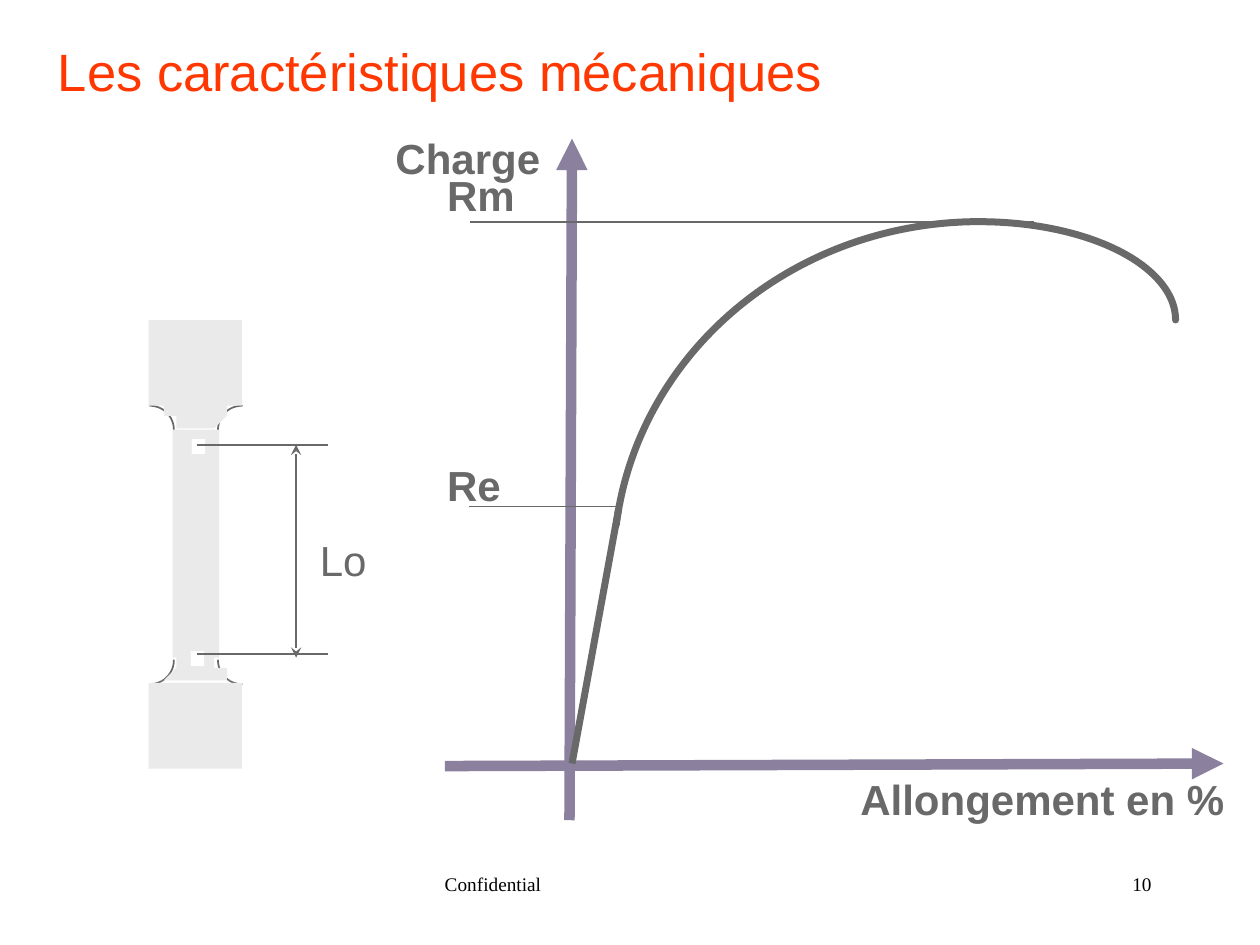
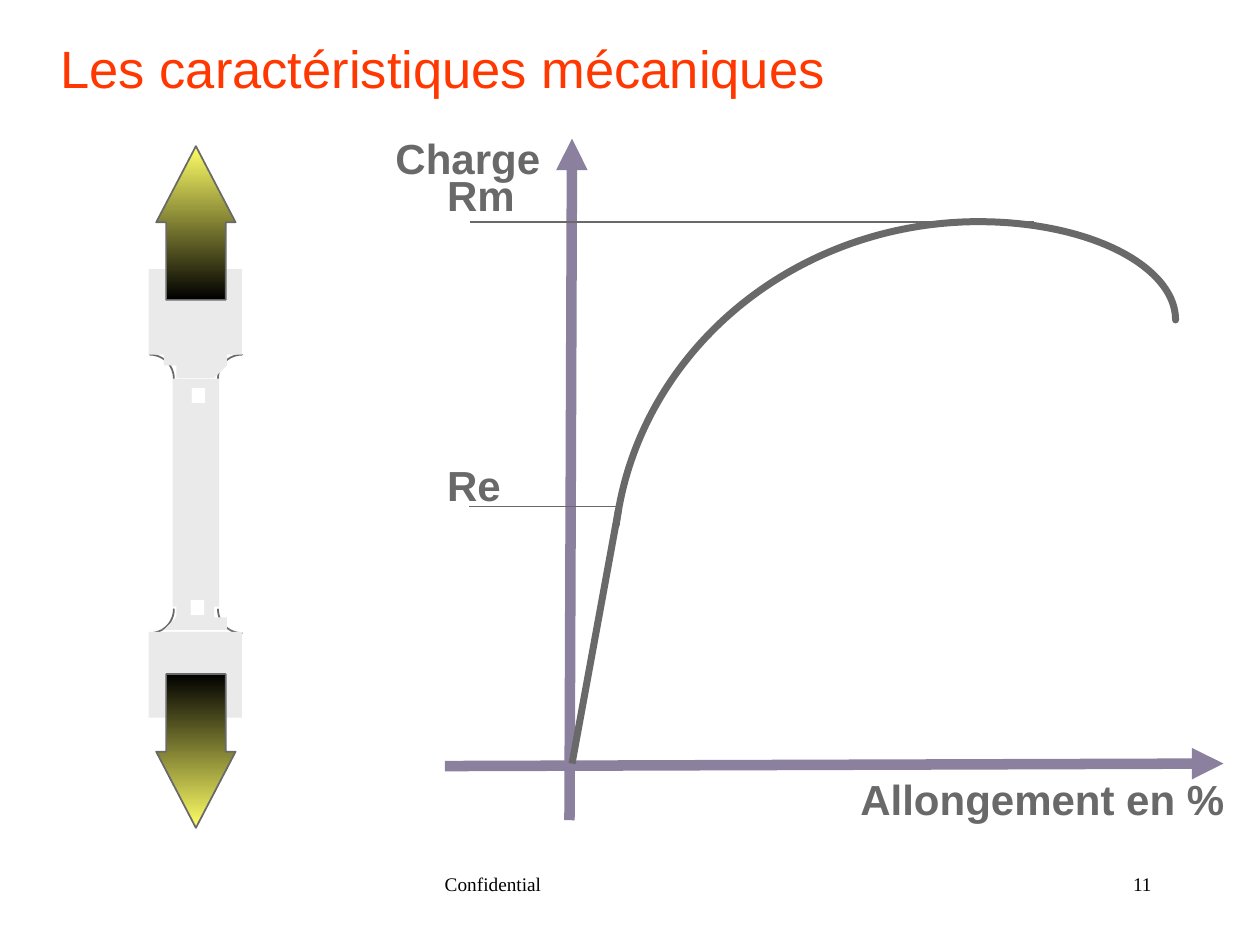
import math
import pptx
import pptx.util
import pptx.dml.color
import pptx.enum.shapes
import pptx.enum.text
import pptx.oxml

Pt = pptx.util.Pt
Kind = pptx.enum.shapes.MSO_SHAPE
Align = pptx.enum.text.PP_ALIGN
Anchor = pptx.enum.text.MSO_ANCHOR
Fit = pptx.enum.text.MSO_AUTO_SIZE

GREY, AXIS, STEEL = "696969", "8B819E", "EAEAEA"
RED, WHITE, BLACK, YELLOW = "FF3700", "FFFFFF", "000000", "FFFF66"
NS = 'xmlns:a="http://schemas.openxmlformats.org/drawingml/2006/main"'

deck = pptx.Presentation()
deck.slide_width = pptx.util.Inches(10)
deck.slide_height = pptx.util.Inches(7.5)
COL = deck.slide_width / 100
ROW = deck.slide_height / 75


def hue(code):
    return pptx.dml.color.RGBColor.from_string(code)


def grid(x, y, w, h):
    """Turn columns and rows into slide lengths."""
    return [round(n * unit) for n, unit in zip((x, y, w, h), (COL, ROW) * 2)]


# Words, size, bold, colour, place
labels = [
    ("Charge", 24, True, GREY, (30.4, 10, 13.5, 5)),
    ("Allongement en %", 24, True, GREY, (67.3, 60.9, 30.9, 5)),
    ("Re", 24, True, GREY, (34.5, 36, 6.3, 5)),
    ("Rm", 24, True, GREY, (34.5, 13, 7.4, 5)),
]
# Ends, colour, weight, head, tail
graph = [
    ((45.4, 11, 45.2, 65.1), AXIS, 6, "triangle", None),
    ((35.3, 60.8, 97.1, 60.6), AXIS, 6, None, "triangle"),
    ((45.4, 60.6, 49.1, 40.4), GREY, 4, None, None),
    ((49.1, 40.2, 37.2, 40.2), GREY, 1, None, None),
    ((82.1, 17.6, 37.3, 17.6), GREY, 1, None, None),
]
gauge = [
    ((15.6, 35.3, 26, 35.3), GREY, 1, None, None),
    ((15.6, 51.9, 26, 51.9), GREY, 1, None, None),
    ((23.5, 35.3, 23.5, 52.2), GREY, 1, "stealth", "stealth"),
]
length = ("Lo", 24, False, GREY, (24.4, 41.9, 5.7, 5))
pulls = [
    (Kind.UP_ARROW, 11.6, (YELLOW, BLACK)),
    (Kind.DOWN_ARROW, 53.5, (BLACK, YELLOW)),
]

# Number, title corner, top row of the test bar, extras
pages = [
    ("10", (4.6, -0.6), 25.4, [length], gauge, []),
    ("11", (4.8, -0.8), 21.35, [], [], pulls),
]

for number, corner, top, notes, marks, arrows in pages:
    slide = deck.slides.add_slide(deck.slide_layouts[5])
    shapes = slide.shapes

    title = shapes.title
    title.left, title.top, title.width, title.height = grid(*corner, 90.1, 8.7)
    frame = title.text_frame
    frame.auto_size = Fit.NONE
    frame.vertical_anchor = Anchor.BOTTOM
    frame.margin_left = frame.margin_right = 0
    frame.margin_top = frame.margin_bottom = 0
    line = frame.paragraphs[0]
    line.alignment = Align.LEFT
    run = line.add_run()
    run.text = "Les caractéristiques mécaniques"
    run.font.name, run.font.size = "Arial", Pt(30)
    run.font.color.rgb = hue(RED)

    # Load curve, then the four fillets of the bar
    neck, foot = top + 6.8, top + 28.8
    arcs = [
        ((48.7, 17.6, 58, 54.7), 186.5, 270, 4),
        ((62.2, 17.6, 31.1, 15.6), 270, 0, 4),
        ((10, neck, 3.8, 3.8), 270, 0, 1),
        ((17.3, neck, 3.8, 3.8), 180, 270, 1),
        ((10, foot - 3.7, 3.8, 3.8), 0, 90, 1),
        ((17.3, foot - 3.7, 3.8, 3.8), 90, 180, 1),
    ]
    for place, start, end, weight in arcs:
        arc = shapes.add_shape(Kind.ARC, *grid(*place))
        arc.shadow.inherit = False
        arc.adjustments[0] = start * 0.6  # degrees in units of 1/0.6
        arc.adjustments[1] = end * 0.6
        arc.fill.background()
        arc.line.color.rgb = hue(GREY)
        arc.line.width = Pt(weight)
        arc.line._get_or_add_ln().set("cap", "rnd")

    # Test bar: two grips, a stem and two flared shoulders
    bar = shapes.add_group_shape().shapes
    parts = [
        bar.add_shape(Kind.RECTANGLE, *grid(*place))
        for place in (
            (11.8, top, 7.4, 6.8),
            (13.7, top + 8.7, 3.7, 18.1),
            (11.8, foot, 7.4, 6.8),
        )
    ]
    for edge, way in ((neck, 1), (foot, -1)):
        turns = [math.radians(15 * step) for step in range(7)]
        right = [
            (19.2 - 1.9 * math.sin(t), edge + way * 1.9 * (1 - math.cos(t)))
            for t in turns
        ]
        left = [(31.1 - x, y) for x, y in reversed(right)]
        pen = bar.build_freeform(*left[-1], scale=(COL, ROW))
        pen.add_line_segments(right + left[:-1], close=True)
        parts.append(pen.convert_to_shape())
    for part in parts:
        part.shadow.inherit = False
        part.fill.solid()
        part.fill.fore_color.rgb = hue(STEEL)
        part.line.fill.background()

    dots = [
        (".", 80, False, WHITE, (13.2, top + 15.9, 5.1, 14.3)),
        (".", 80, False, WHITE, (13.3, top - 0.9, 5.1, 14.3)),
    ]
    for words, size, bold, color, place in labels + dots + notes:
        frame = shapes.add_textbox(*grid(*place)).text_frame
        frame.word_wrap = False
        frame.auto_size = Fit.SHAPE_TO_FIT_TEXT
        run = frame.paragraphs[0].add_run()
        run.text = words
        run.font.name, run.font.size, run.font.bold = "Arial", Pt(size), bold
        run.font.color.rgb = hue(color)

    for ends, color, weight, head, tail in graph + marks:
        link = shapes.add_connector(
            pptx.enum.shapes.MSO_CONNECTOR.STRAIGHT, *grid(*ends)
        )
        link.line.color.rgb = hue(color)
        link.line.width = Pt(weight)
        for tag, tip in (("headEnd", head), ("tailEnd", tail)):
            if tip:
                link.line._get_or_add_ln().append(
                    pptx.oxml.parse_xml(f'<a:{tag} {NS} type="{tip}"/>')
                )
        link._element.spPr.append(pptx.oxml.parse_xml(f"<a:effectLst {NS}/>"))

    for kind, row, tones in arrows:
        pull = shapes.add_shape(kind, *grid(12.4, row, 6.3, 12.2))
        pull.shadow.inherit = False
        pull.adjustments[0], pull.adjustments[1] = 0.75, 0.96
        pull.fill.gradient()
        pull.fill.gradient_angle = 270
        for stop, tone in zip(pull.fill.gradient_stops, tones):
            stop.color.rgb = hue(tone)
        pull.line.color.rgb = hue(GREY)
        pull.line.width = Pt(1)

    for words, x, wide, align in (
        ("Confidential", 35.3, 31.7, Align.LEFT),
        (number, 70.6, 20.8, Align.RIGHT),
    ):
        frame = shapes.add_textbox(*grid(x, 69.2, wide, 3)).text_frame
        frame.word_wrap = True
        frame.margin_left = frame.margin_right = 0
        frame.margin_top = frame.margin_bottom = 0
        frame.paragraphs[0].alignment = align
        run = frame.paragraphs[0].add_run()
        run.text = words
        run.font.name, run.font.size = "Times New Roman", Pt(11)
        run.font.color.rgb = hue(BLACK)

deck.save("out.pptx")
